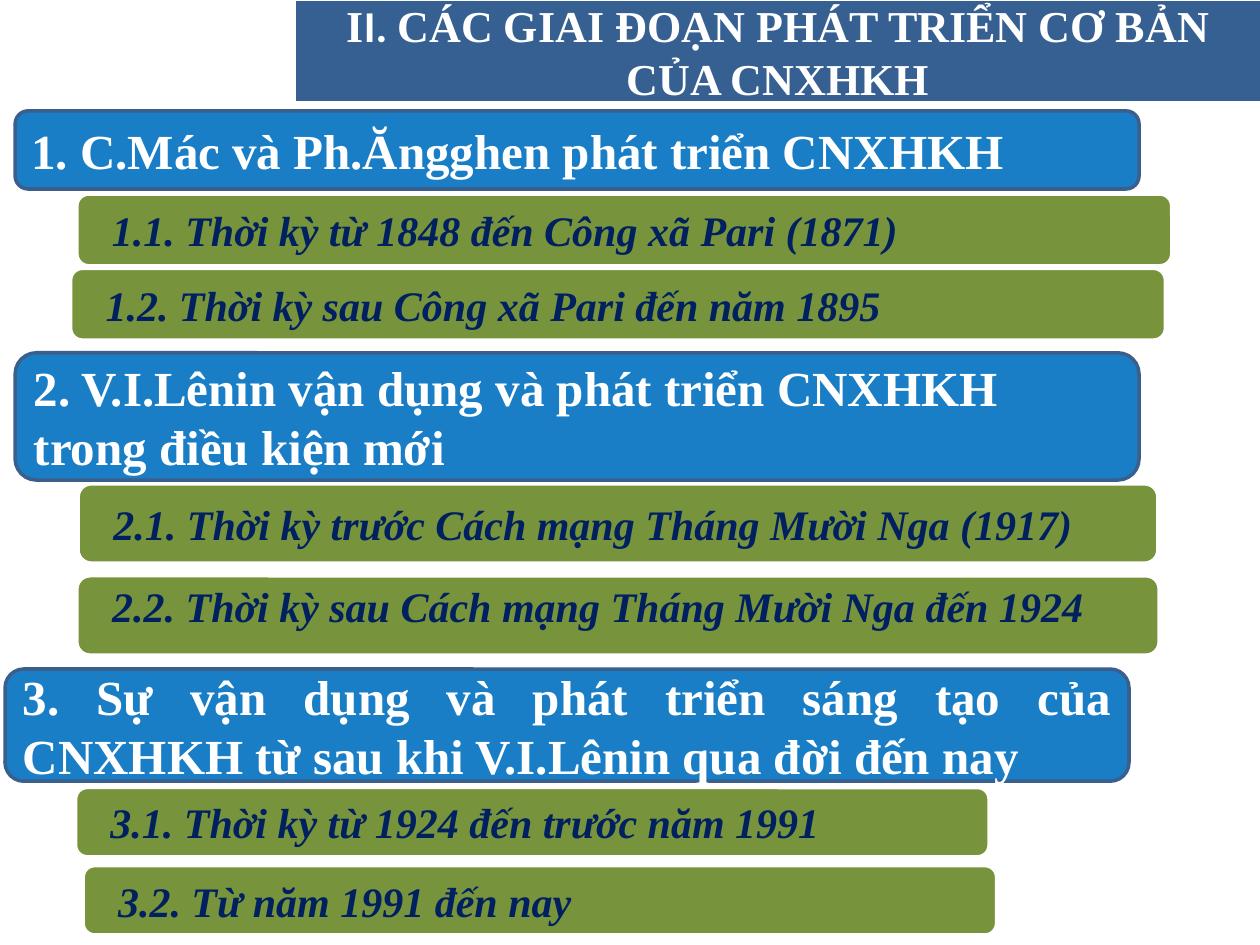
from dataclasses import dataclass

import lxml.etree
import pptx
import pptx.dml.color
import pptx.enum.shapes
import pptx.enum.text
import pptx.oxml.ns
import pptx.util

ALIGN = pptx.enum.text.PP_ALIGN
KIND = pptx.enum.shapes.MSO_SHAPE


@dataclass(frozen=True)
class Theme:
    serif: str = "Times New Roman"
    sans: str = "Calibri"
    white: str = "FFFFFF"
    navy: str = "002060"
    slate: str = "376092"
    blue: str = "0070C0"
    edge: str = "3A5F8C"
    green: str = "77933C"
    title: float = 25.2
    head: float = 28
    item: float = 24
    line: float = 2
    alpha: int = 90


@dataclass(frozen=True)
class Grid:
    width: float = 10
    height: float = 7.5
    cols: int = 100
    rows: int = 75

    def x(self, col: float) -> int:
        return pptx.util.Inches(self.width * col / self.cols)

    def y(self, row: float) -> int:
        return pptx.util.Inches(self.height * row / self.rows)


@dataclass(frozen=True)
class Bar:
    text: str
    col: float
    row: float
    wide: float
    tall: float
    align: ALIGN = ALIGN.LEFT
    lift: float = 0


THEME = Theme()
GRID = Grid()
HEAD = 89.2

TITLE = Bar("I", 23.5, 0.1, 76.5, 7.9, ALIGN.CENTER)
HEADS = [
    Bar("1. C.Mác và Ph.Ăngghen phát triển CNXHKH", 1.2, 8.8, HEAD, 6.2),
    Bar("2. V.I.Lênin vận dụng và phát triển CNXHKH trong điều kiện mới",
        1.2, 28, HEAD, 10.1),
    Bar("3. Sự vận dụng và phát triển sáng tạo của CNXHKH từ sau khi "
        "V.I.Lênin qua đời đến nay", 0.4, 53.1, HEAD, 8.9, ALIGN.JUSTIFY),
]
ITEMS = [
    Bar("1.1. Thời kỳ từ 1848 đến Công xã Pari (1871)", 6.1, 15.4, 86.9, 5.7),
    Bar("1.2. Thời kỳ sau Công xã Pari đến năm 1895", 5.6, 21.3, 86.9, 5.7),
    Bar("2.1. Thời kỳ trước Cách mạng Tháng Mười Nga (1917)",
        6.2, 38.4, 85.7, 6.3),
    Bar("2.2. Thời kỳ sau Cách mạng Tháng Mười Nga đến 1924",
        6.1, 45.7, 85.9, 6.3, lift=1.5),
    Bar("3.1. Thời kỳ từ 1924 đến trước năm 1991", 6, 62.5, 72.5, 5.5),
    Bar("3.2. Từ năm 1991 đến nay", 6.6, 68.7, 72.5, 5.5),
]


def tint(code: str) -> pptx.dml.color.RGBColor:
    return pptx.dml.color.RGBColor.from_string(code)


def style(run, size: float, color: str, face: str = THEME.serif,
          slant: bool = False) -> None:
    font = run.font
    font.name, font.size = face, pptx.util.Pt(size)
    font.bold, font.italic = True, slant
    font.color.rgb = tint(color)


def draw(slide, bar: Bar, kind: KIND, fill: str, edge: str | None = None):
    shape = slide.shapes.add_shape(
        kind, GRID.x(bar.col), GRID.y(bar.row), GRID.x(bar.wide), GRID.y(bar.tall))
    shape.shadow.inherit = False
    shape.fill.solid()
    shape.fill.fore_color.rgb = tint(fill)
    if edge:
        shape.line.color.rgb = tint(edge)
        shape.line.width = pptx.util.Pt(THEME.line)
    else:
        shape.line.fill.background()
    frame = shape.text_frame
    frame.word_wrap = True
    frame.vertical_anchor = pptx.enum.text.MSO_ANCHOR.MIDDLE
    frame.text = bar.text
    frame.paragraphs[0].alignment = bar.align
    return shape


def draw_title(slide, bar: Bar) -> None:
    shape = draw(slide, bar, KIND.RECTANGLE, THEME.slate)
    line = shape.text_frame.paragraphs[0]
    style(line.runs[0], THEME.title, THEME.white)
    for text, face in (("I. ", THEME.sans),
                       ("CÁC GIAI ĐOẠN PHÁT TRIỂN CƠ BẢN CỦA CNXHKH", THEME.serif)):
        run = line.add_run()
        run.text = text
        style(run, THEME.title, THEME.white, face)


def draw_head(slide, bar: Bar) -> None:
    shape = draw(slide, bar, KIND.ROUNDED_RECTANGLE, THEME.blue, THEME.edge)
    qn = pptx.oxml.ns.qn
    color = shape.fill._xPr.find(qn("a:solidFill")).find(qn("a:srgbClr"))
    lxml.etree.SubElement(color, qn("a:alpha"), val=str(THEME.alpha * 1000))
    style(shape.text_frame.paragraphs[0].runs[0], THEME.head, THEME.white)


def draw_item(slide, bar: Bar) -> None:
    shape = draw(slide, bar, KIND.ROUNDED_RECTANGLE, THEME.green, THEME.white)
    frame = shape.text_frame
    frame.margin_left = frame.margin_right = GRID.x(2.5)
    frame.margin_top, frame.margin_bottom = 0, GRID.y(bar.lift)
    style(frame.paragraphs[0].runs[0], THEME.item, THEME.navy, slant=True)


def main() -> None:
    deck = pptx.Presentation()
    deck.slide_width = GRID.x(GRID.cols)
    deck.slide_height = GRID.y(GRID.rows)
    slide = deck.slides.add_slide(deck.slide_layouts[6])
    draw_title(slide, TITLE)
    for bar in HEADS:
        draw_head(slide, bar)
    for bar in ITEMS:
        draw_item(slide, bar)
    deck.save("out.pptx")


if __name__ == "__main__":
    main()
